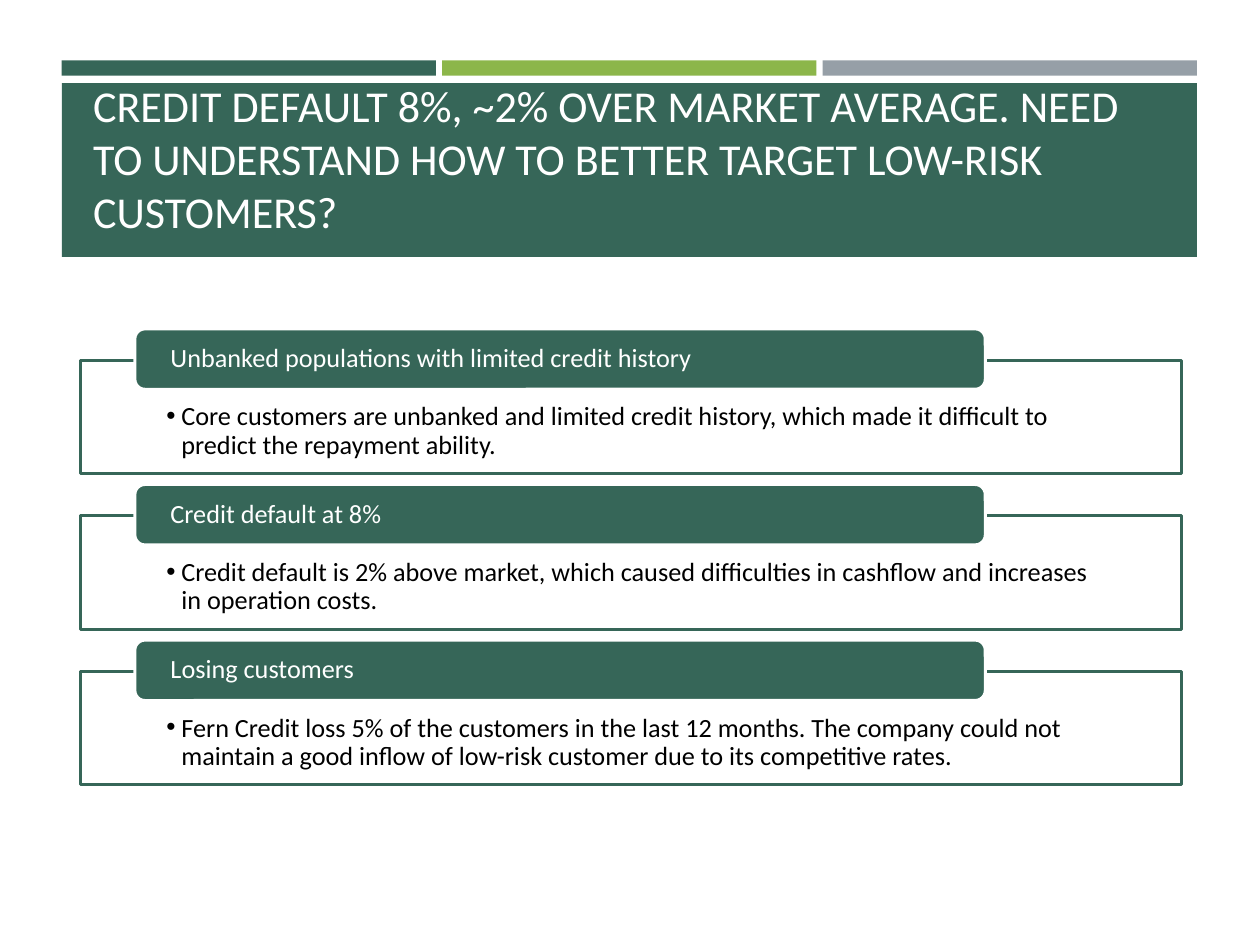
from dataclasses import dataclass
from lxml import etree
from pptx import Presentation
from pptx.dml.color import RGBColor
from pptx.enum import shapes, text
from pptx.oxml import ns
from pptx.util import Inches, Pt


@dataclass(frozen=True)
class Theme:
    green: str = "366658"
    lime: str = "8CB64A"
    gray: str = "969FA7"
    white: str = "FFFFFF"
    black: str = "000000"
    font: str = "Calibri"
    title_size: float = 25.2
    body_size: float = 15
    outline: float = 1.75


THEME = Theme()
TITLE = ("CREDIT DEFAULT 8%, ~2% OVER MARKET AVERAGE. NEED TO UNDERSTAND "
         "HOW TO BETTER TARGET LOW-RISK CUSTOMERS?")
ISSUES = [
    ("Unbanked populations with limited credit history",
     "Core customers are unbanked and limited credit history, which made it "
     "difficult to predict the repayment ability."),
    ("Credit default at 8%",
     "Credit default is 2% above market, which caused difficulties in cashflow "
     "and increases in operation costs."),
    ("Losing customers",
     "Fern Credit loss 5% of the customers in the last 12 months. The company "
     "could not maintain a good inflow of low-risk customer due to its "
     "competitive rates."),
]


def add_block(slide, box, fill, line=None, kind=shapes.MSO_SHAPE.RECTANGLE):
    block = slide.shapes.add_shape(kind, *map(Inches, box))
    block.shadow.inherit = False
    block.fill.solid()
    block.fill.fore_color.rgb = RGBColor.from_string(fill)
    if line:
        block.line.color.rgb = RGBColor.from_string(line)
        block.line.width = Pt(THEME.outline)
    else:
        block.line.fill.background()
    return block


def write(holder, words, size, color, anchor, insets, spacing=1.0):
    frame = holder.text_frame
    left, top, right, bottom = map(Inches, insets)
    frame_format = {
        "word_wrap": True, "auto_size": text.MSO_AUTO_SIZE.NONE,
        "vertical_anchor": anchor, "margin_left": left, "margin_top": top,
        "margin_right": right, "margin_bottom": bottom,
    }
    for name, value in frame_format.items():
        setattr(frame, name, value)
    paragraph = frame.paragraphs[0]
    paragraph.alignment = text.PP_ALIGN.LEFT
    paragraph.line_spacing = spacing
    run = paragraph.add_run()
    run.text = words
    for name, value in {"name": THEME.font, "size": Pt(size)}.items():
        setattr(run.font, name, value)
    run.font.color.rgb = RGBColor.from_string(color)
    return paragraph


def add_bullet(paragraph, indent):
    properties = paragraph._p.get_or_add_pPr()
    properties.set("marL", str(Inches(indent)))
    properties.set("indent", str(-Inches(indent)))
    etree.SubElement(properties, ns.qn("a:buFont")).set("typeface", "Arial")
    etree.SubElement(properties, ns.qn("a:buChar")).set("char", "•")


def add_header(slide):
    for column, color in enumerate((THEME.green, THEME.lime, THEME.gray)):
        add_block(slide, (0.49 + 3.02 * column, 0.48, 2.97, 0.12), color)
    add_block(slide, (0.49, 0.66, 9.01, 1.38), THEME.green)
    title = slide.shapes.add_textbox(*map(Inches, (0.64, 0.75, 8.74, 1.18)))
    write(title, TITLE, THEME.title_size, THEME.white,
          text.MSO_ANCHOR.BOTTOM, (0.1, 0.05, 0.1, 0.05))


def add_issue(slide, top, heading, detail):
    panel = add_block(slide, (0.64, top, 8.74, 0.9), THEME.white, THEME.green)
    body = write(panel, detail, THEME.body_size, THEME.black,
                 text.MSO_ANCHOR.TOP, (0.68, 0.34, 0.68, 0.12), 0.9)
    add_bullet(body, 0.12)
    tab = add_block(slide, (1.07, top - 0.25, 6.75, 0.48), THEME.green,
                    THEME.white, shapes.MSO_SHAPE.ROUNDED_RECTANGLE)
    write(tab, heading, THEME.body_size, THEME.white,
          text.MSO_ANCHOR.MIDDLE, (0.26, 0, 0.26, 0), 0.9)


def main():
    deck = Presentation()
    deck.slide_width, deck.slide_height = Inches(10), Inches(7.5)
    slide = deck.slides.add_slide(deck.slide_layouts[6])
    add_header(slide)
    for row, (heading, detail) in enumerate(ISSUES):
        add_issue(slide, 2.86 + 1.235 * row, heading, detail)
    deck.save("out.pptx")


main()
